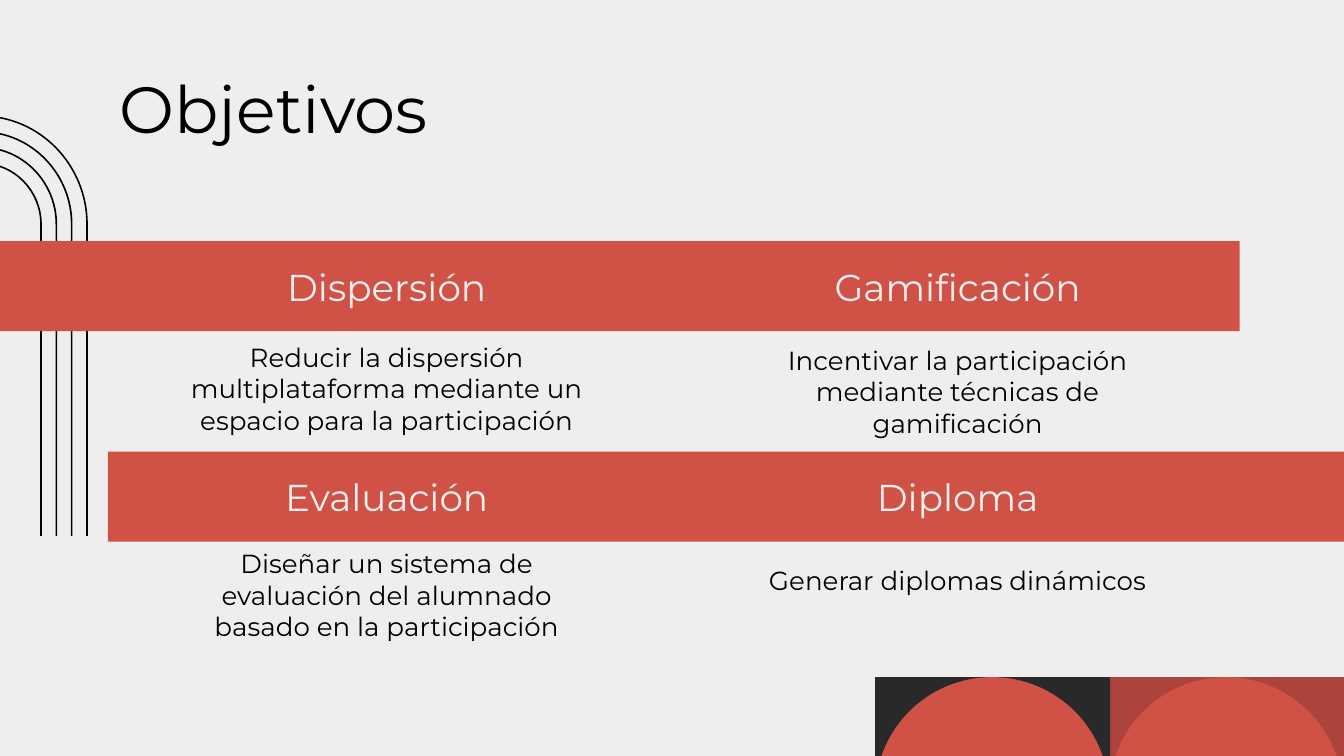
from dataclasses import dataclass

from lxml import etree
from pptx import Presentation
from pptx.dml.color import RGBColor
from pptx.enum import shapes as sh, text as tx
from pptx.oxml import ns
from pptx.util import Cm, Pt


@dataclass(frozen=True)
class Theme:
    font: str = "Montserrat"
    paper: str = "EEEEEE"
    ink: str = "000000"
    red: str = "D05246"
    brick: str = "AC443B"
    coal: str = "292929"
    title: int = 35
    head: int = 20
    body: int = 14


@dataclass(frozen=True)
class Box:
    """Lengths in centimetres."""
    left: float
    top: float
    width: float
    height: float


@dataclass(frozen=True)
class Goal:
    head: str
    body: str
    depth: float


THEME = Theme()
RECT = sh.MSO_SHAPE.RECTANGLE
OVAL = sh.MSO_SHAPE.OVAL

COLS = (3.32, 14.11)
ROWS = (4.68, 8.66)
WIDTH, HEAD, DROP = 7.98, 1.47, 1.63
GOALS = (
    (Goal("Dispersión", "Reducir la dispersión multiplataforma mediante un "
          "espacio para la participación", 2.06),
     Goal("Gamificación", "Incentivar la participación mediante técnicas de "
          "gamificación", 2.17)),
    (Goal("Evaluación", "Diseñar un sistema de evaluación del alumnado "
          "basado en la participación", 1.9),
     Goal("Diploma", "Generar diplomas dinámicos", 1.35)),
)
BARS = (Box(2.04, 8.54, 23.36, 1.7), Box(0, 4.56, 23.43, 1.7))
TILES = ((20.96, THEME.brick), (16.54, THEME.coal))


def paint(shape, color: str) -> None:
    shape.shadow.inherit = False
    shape.fill.solid()
    shape.fill.fore_color.rgb = RGBColor.from_string(color)
    shape.line.fill.background()


def block(slide, kind, box: Box, color: str) -> None:
    shape = slide.shapes.add_shape(kind, Cm(box.left), Cm(box.top),
                                   Cm(box.width), Cm(box.height))
    paint(shape, color)


def label(slide, box: Box, words: str, size: int, color: str,
          align=tx.PP_ALIGN.CENTER) -> None:
    frame = slide.shapes.add_textbox(Cm(box.left), Cm(box.top), Cm(box.width),
                                     Cm(box.height)).text_frame
    frame.word_wrap = True
    frame.vertical_anchor = tx.MSO_ANCHOR.MIDDLE
    frame.margin_left = frame.margin_right = Cm(0.25)
    frame.margin_top = frame.margin_bottom = Cm(0.25)
    para = frame.paragraphs[0]
    para.text = words
    para.alignment = align
    para.font.name = THEME.font
    para.font.size = Pt(size)
    para.font.color.rgb = RGBColor.from_string(color)


def edge(wide: float, high: float) -> list[tuple[int, int]]:
    """Foot, spring, two quarter curves with their handles, and foot."""
    mid, spring, foot, bend = -0.35, 4.24, 10.13, 0.55
    unit = ((1, 0), (1, bend), (bend, 1), (0, 1),
            (-bend, 1), (-1, bend), (-1, 0))
    dome = [(mid + wide * x, spring - high * y) for x, y in unit]
    points = [(mid + wide, foot), *dome, (mid - wide, foot)]
    return [(Cm(x), Cm(y)) for x, y in points]


def bend(shape, starts: tuple[int, ...]) -> None:
    """Join three line steps from each start into one Bézier step."""
    lines = list(shape.element.iter(ns.qn("a:lnTo")))
    for start in starts:
        trio = lines[start:start + 3]
        step = etree.Element(ns.qn("a:cubicBezTo"))
        trio[0].addprevious(step)
        for line in trio:
            step.append(line[0])
            line.getparent().remove(line)


def arch(slide, wide: float, thick: float = 0.03) -> None:
    high = wide * 1.025
    ring = edge(wide, high) + edge(wide - thick, high - thick)[::-1]
    pen = slide.shapes.build_freeform(*ring[0], scale=1.0)
    pen.add_line_segments(ring[1:], close=True)
    shape = pen.convert_to_shape()
    bend(shape, (1, 4, 10, 13))
    paint(shape, THEME.ink)


def main() -> None:
    deck = Presentation()
    deck.slide_width, deck.slide_height = Cm(25.4), Cm(14.29)
    slide = deck.slides.add_slide(deck.slide_layouts[6])
    back = slide.background.fill
    back.solid()
    back.fore_color.rgb = RGBColor.from_string(THEME.paper)

    for left, color in TILES:
        block(slide, RECT, Box(left, 12.8, 4.44, 4.44), color)
        block(slide, OVAL, Box(left, 12.8, 4.42, 4.42), THEME.red)
    for i in range(4):
        arch(slide, 2.01 - 0.29 * i)
    for bar in BARS:
        block(slide, RECT, bar, THEME.red)

    for top, row in zip(ROWS, GOALS):
        for left, goal in zip(COLS, row):
            label(slide, Box(left, top, WIDTH, HEAD), goal.head,
                  THEME.head, THEME.paper)
            label(slide, Box(left, top + DROP, WIDTH, goal.depth), goal.body,
                  THEME.body, THEME.ink)
    label(slide, Box(2.01, 1.23, 21.41, 1.6), "Objetivos", THEME.title,
          THEME.ink, tx.PP_ALIGN.LEFT)
    deck.save("out.pptx")


if __name__ == "__main__":
    main()
